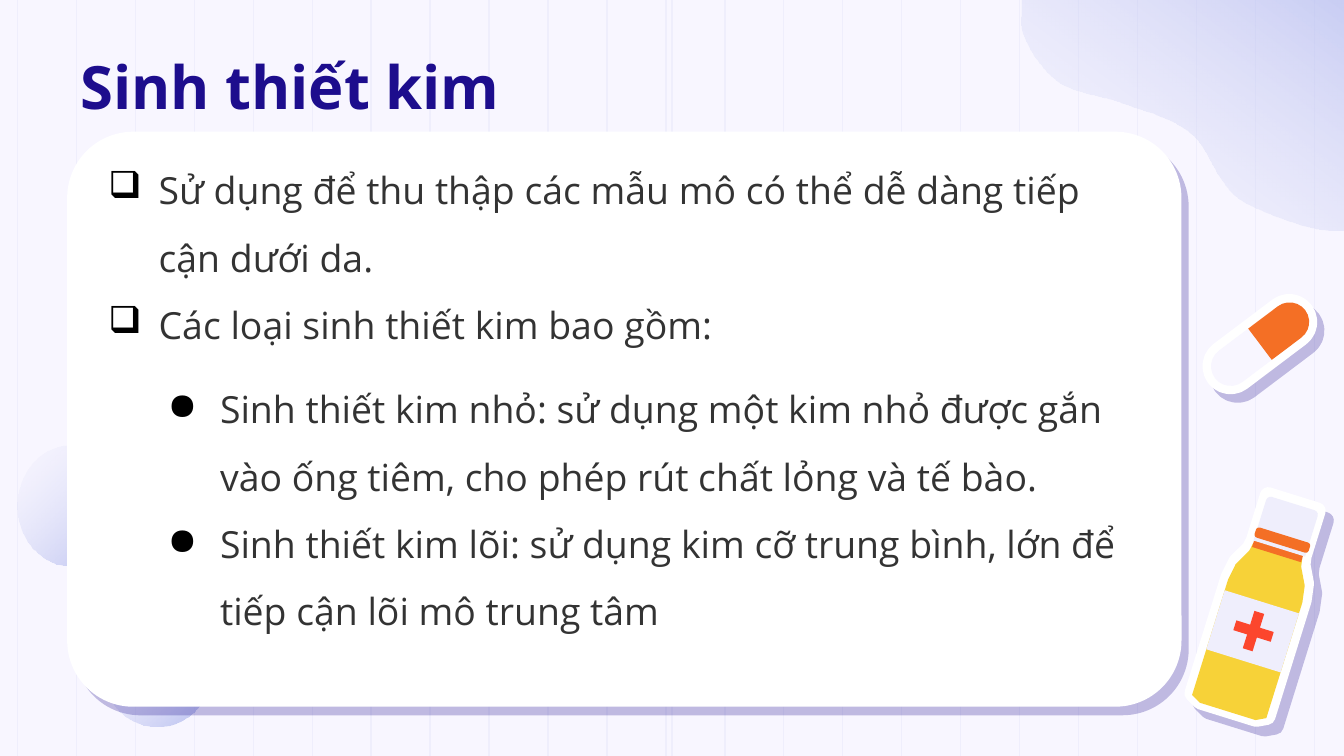
"""Build the needle biopsy slide with its card, bottle and capsule."""

from dataclasses import dataclass
from typing import NamedTuple, Optional

from lxml.etree import SubElement
from pptx import Presentation
from pptx.dml.color import RGBColor
from pptx.enum.shapes import MSO_CONNECTOR as Connector, MSO_SHAPE as Preset
from pptx.enum.text import MSO_ANCHOR as Anchor, PP_ALIGN as Align
from pptx.oxml.ns import qn
from pptx.util import Cm, Pt


@dataclass(frozen=True)
class Theme:
    font: str = "Open Sans"
    background: str = "F8F6FF"
    pale: str = "EFEEFC"
    periwinkle: str = "9BA6E9"
    navy: str = "1D0D8D"
    white: str = "FFFFFF"
    yellow: str = "F7D238"
    orange: str = "F46F25"
    red: str = "FC462D"
    body: str = "333333"
    bullet: str = "000000"
    title_size: int = 32
    body_size: int = 20


class Box(NamedTuple):
    left: float
    top: float
    width: float
    height: float

    def lengths(self) -> list:
        return [Cm(value) for value in self]


@dataclass(frozen=True)
class Piece:
    box: Box
    color: str
    preset: Optional[Preset] = None
    rotation: float = 0
    adjustment: Optional[float] = None
    neck: float = 0
    border: float = 0
    shadow: float = 0


class BulletList(NamedTuple):
    box: Box
    bullet: str
    margin: float
    hanging: float
    items: list


THEME = Theme()
STRIPES = 23
CURVE_STEPS = 12
TILT = 17.3
CAPSULE_TILT = 53
WAVE = [(20.2, -0.5), (19.3, 0.36), (19.94, 1.5), (21.26, 1.96), (22.5, 2.51),
        (23.52, 3.81), (25.78, 4.27), (27.15, 2.21), (25.98, 0.15)]
DISCS = [Box(0.33, 8.43, 1.98, 2.26), Box(1.98, 11.76, 1.98, 1.98)]
NECK_WIDTH = 0.66
BOTTLE_PROFILE = [(0, NECK_WIDTH), (0.05, 0.7), (0.15, 0.93), (0.25, 1), (0.97, 1), (1, 0.75)]

PIECES = [
    Piece(Box(1.27, 2.49, 21.06, 10.87), THEME.white, Preset.ROUNDED_RECTANGLE,
          adjustment=0.115, shadow=6),
    Piece(Box(23.09, 9.42, 1.47, 4.09), THEME.white, rotation=TILT,
          neck=0.22, border=9, shadow=6.8),
    Piece(Box(22.94, 10.34, 1.47, 3.18), THEME.yellow, rotation=TILT),
    Piece(Box(23.67, 10.29, 0.97, 0.2), THEME.orange, Preset.RECTANGLE, TILT),
    Piece(Box(22.94, 11.35, 1.47, 1.17), THEME.pale, Preset.RECTANGLE, TILT),
    Piece(Box(23.32, 11.56, 0.74, 0.74), THEME.red, Preset.CROSS, TILT, 0.37),
    Piece(Box(23.8, 9.5, 1.02, 0.89), THEME.pale, Preset.ROUND_2_SAME_RECTANGLE, TILT, 0.1),
    Piece(Box(23.7, 10.11, 1.07, 0.2), THEME.orange, Preset.ROUNDED_RECTANGLE, TILT, 0.3),
    Piece(Box(23.44, 5.44, 0.74, 2.13), THEME.white, Preset.ROUNDED_RECTANGLE,
          CAPSULE_TILT, 0.5, border=9, shadow=6),
    Piece(Box(23.02, 6.29, 0.74, 1.07), THEME.background, Preset.ROUND_2_SAME_RECTANGLE,
          CAPSULE_TILT + 180, 0.5),
    Piece(Box(23.87, 5.65, 0.74, 1.07), THEME.orange, Preset.ROUND_2_SAME_RECTANGLE,
          CAPSULE_TILT, 0.5),
]

BULLET_LISTS = [
    BulletList(Box(1.8, 2.62, 19.05, 7.52), "❑", 0.95, 0.95, [
        "Sử dụng để thu thập các mẫu mô có thể dễ dàng tiếp cận dưới da.",
        "Các loại sinh thiết kim bao gồm:"]),
    BulletList(Box(2.64, 6.76, 18.72, 9.7), "●", 1.27, 0.99, [
        "Sinh thiết kim nhỏ: sử dụng một kim nhỏ được gắn vào ống tiêm, "
        "cho phép rút chất lỏng và tế bào.",
        "Sinh thiết kim lõi: sử dụng kim cỡ trung bình, lớn để tiếp cận lõi mô trung tâm"]),
]


def rgb(color: str) -> RGBColor:
    return RGBColor.from_string(color)


def smooth_loop(anchors: list) -> list:
    points = []
    count = len(anchors)
    for index in range(count):
        near = [anchors[(index + shift) % count] for shift in (-1, 0, 1, 2)]
        for step in range(CURVE_STEPS):
            t = step / CURVE_STEPS
            points.append(tuple(
                b + t * (c - a + t * (2 * a - 5 * b + 4 * c - d
                                      + t * (3 * b - a - 3 * c + d))) / 2
                for a, b, c, d in zip(*near)))
    return points


def bottle_outline(box: Box, neck: float) -> list:
    profile = [(neck + (1 - neck) * depth, width) for depth, width in BOTTLE_PROFILE]
    if neck:
        profile.insert(0, (0, NECK_WIDTH))
    sides = [(1, profile), (-1, profile[::-1])]
    return [(box.left + box.width * (1 + side * width) / 2, box.top + box.height * depth)
            for side, half in sides for depth, width in half]


def add_freeform(slide, points: list):
    start, *rest = [(Cm(x), Cm(y)) for x, y in points]
    builder = slide.shapes.build_freeform(*start, scale=1.0)
    builder.add_line_segments(rest, close=True)
    return builder.convert_to_shape()


def add_shadow(shape, distance: float) -> None:
    effects = shape.element.spPr.find(qn("a:effectLst"))
    shadow = SubElement(effects, qn("a:outerShdw"), blurRad="0", dist=str(Pt(distance)),
                        dir=str(50 * 60000), algn="bl", rotWithShape="0")
    color = SubElement(shadow, qn("a:srgbClr"), val=THEME.navy)
    SubElement(color, qn("a:alpha"), val="25000")


def add_stripe(slide, x: float) -> None:
    line = slide.shapes.add_connector(Connector.STRAIGHT, Cm(x), Cm(-0.71), Cm(x), Cm(15))
    line.line.color.rgb = rgb(THEME.pale)
    line.line.width = Pt(0.75)
    SubElement(line.element.spPr, qn("a:effectLst"))


def fade(shape, angle: float) -> None:
    shape.shadow.inherit = False
    shape.line.fill.background()
    shape.fill.gradient()
    shape.fill.gradient_angle = 360 - angle
    for stop, color in zip(shape.fill.gradient_stops, (THEME.pale, THEME.periwinkle)):
        stop.color.rgb = rgb(color)
    for color, alpha in zip(shape.element.spPr.iter(qn("a:srgbClr")), ("13000", "69000")):
        SubElement(color, qn("a:alpha"), val=alpha)


def add_piece(slide, piece: Piece) -> None:
    if piece.preset is None:
        shape = add_freeform(slide, bottle_outline(piece.box, piece.neck))
    else:
        shape = slide.shapes.add_shape(piece.preset, *piece.box.lengths())
    if piece.adjustment is not None:
        shape.adjustments[0] = piece.adjustment
    shape.rotation = piece.rotation
    shape.shadow.inherit = False
    shape.fill.solid()
    shape.fill.fore_color.rgb = rgb(piece.color)
    shape.line.fill.background()
    if piece.border:
        shape.line.color.rgb = rgb(piece.color)
        shape.line.width = Pt(piece.border)
    if piece.shadow:
        add_shadow(shape, piece.shadow)


def write(paragraph, text: str, *, size: int, color: str, bold: bool = False,
          spacing: float = 1.0) -> None:
    paragraph.alignment = Align.LEFT
    paragraph.line_spacing = spacing
    run = paragraph.add_run()
    run.text = text
    run.font.name = THEME.font
    run.font.size = Pt(size)
    run.font.bold = bold
    run.font.color.rgb = rgb(color)


def add_bullet(paragraph, group: BulletList) -> None:
    properties = paragraph._p.get_or_add_pPr()
    properties.set("marL", str(Cm(group.margin)))
    properties.set("indent", str(-Cm(group.hanging)))
    color = SubElement(properties, qn("a:buClr"))
    SubElement(color, qn("a:srgbClr"), val=THEME.bullet)
    SubElement(properties, qn("a:buChar"), char=group.bullet)


def add_bullet_list(slide, group: BulletList) -> None:
    frame = slide.shapes.add_textbox(*group.box.lengths()).text_frame
    frame.word_wrap = True
    for index, item in enumerate(group.items):
        paragraph = frame.add_paragraph() if index else frame.paragraphs[0]
        add_bullet(paragraph, group)
        write(paragraph, item, size=THEME.body_size, color=THEME.body, spacing=1.5)


def place_title(slide, text: str, box: Box) -> None:
    title = slide.shapes.title
    title.left, title.top, title.width, title.height = box.lengths()
    frame = title.text_frame
    frame.vertical_anchor = Anchor.MIDDLE
    frame.margin_left = frame.margin_right = frame.margin_top = frame.margin_bottom = Cm(0.25)
    write(frame.paragraphs[0], text, size=THEME.title_size, color=THEME.navy, bold=True)
    title.element.getparent().append(title.element)


def main() -> None:
    presentation = Presentation()
    presentation.slide_width, presentation.slide_height = Cm(25.4), Cm(14.29)
    slide = presentation.slides.add_slide(presentation.slide_layouts[5])
    slide.background.fill.solid()
    slide.background.fill.fore_color.rgb = rgb(THEME.background)
    first, last = 0.33, 24.84
    for index in range(STRIPES):
        add_stripe(slide, first + index * (last - first) / (STRIPES - 1))
    add_stripe(slide, 12.7)
    fade(add_freeform(slide, smooth_loop(WAVE)), 306.5)
    for disc in DISCS:
        fade(slide.shapes.add_shape(Preset.OVAL, *disc.lengths()), 45)
    for piece in PIECES:
        add_piece(slide, piece)
    place_title(slide, "Sinh thiết kim", Box(1.27, 0.64, 21.44, 1.96))
    for group in BULLET_LISTS:
        add_bullet_list(slide, group)
    presentation.save("out.pptx")


if __name__ == "__main__":
    main()
